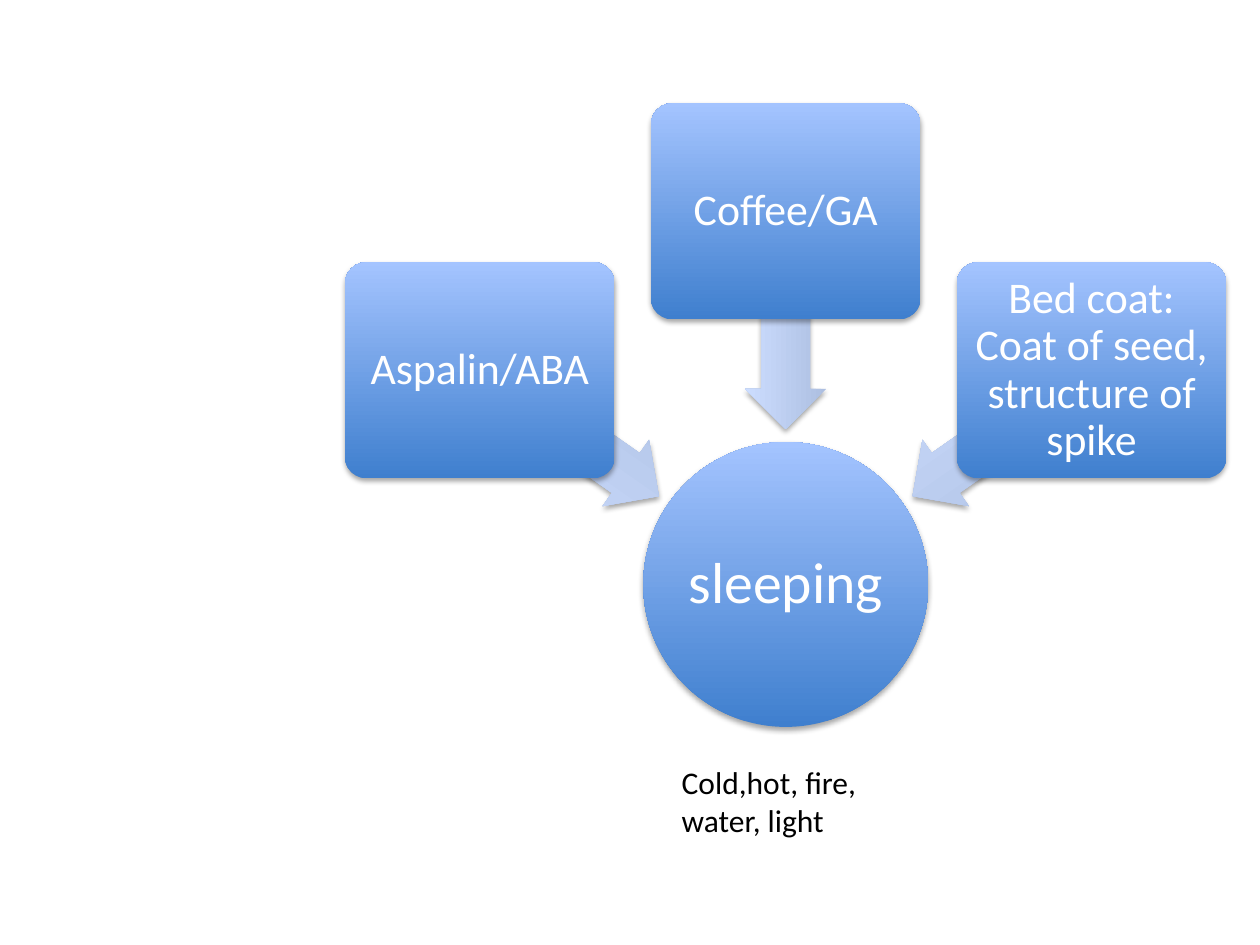
import pptx
import pptx.util
import pptx.dml.color
import pptx.enum.shapes
import pptx.enum.text
import pptx.oxml
from lxml import etree

Pt = pptx.util.Pt
SHAPES = pptx.enum.shapes.MSO_SHAPE
COLOURS = {
    "node_low": "3F7FCE", "node_high": "A4C4FF",
    "arrow_low": "ADBFE1", "arrow_high": "CCDDFF",
    "shadow": "000000", "node_text": "FFFFFF", "note_text": "000000",
}
SHADOW = (
    '<a:effectLst xmlns:a="http://schemas.openxmlformats.org/drawingml/2006/main">'
    '<a:outerShdw blurRad="{blur}" dist="{dist}" dir="5400000" rotWithShape="0">'
    '<a:srgbClr val="{colour}"><a:alpha val="35000"/></a:srgbClr>'
    '</a:outerShdw></a:effectLst>'
)


class Diagram:
    """Holds the style and the page being drawn; shapes are placed by centre."""

    font_name = "Calibri"

    def __init__(self, page):
        self.page = page

    def colour(self, name):
        return pptx.dml.color.RGBColor.from_string(COLOURS[name])

    def shaded_shape(self, kind, centre, size, style):
        (x, y), (width, height) = centre, size
        shape = self.page.shapes.add_shape(
            kind, Pt(x - width / 2), Pt(y - height / 2), Pt(width), Pt(height))
        shape.line.fill.background()
        shape.fill.gradient()
        shape.fill.gradient_angle = 90
        for stop, end in zip(shape.fill.gradient_stops, ("low", "high")):
            stop.color.rgb = self.colour(f"{style}_{end}")
        effect = SHADOW.format(blur=Pt(3.1), dist=Pt(1.8), colour=COLOURS["shadow"])
        shape._element.spPr.append(pptx.oxml.parse_xml(effect))
        return shape

    def set_text(self, frame, text, size, colour):
        frame.word_wrap = True
        para = frame.paragraphs[0]
        para.text = text
        para.font.name = self.font_name
        para.font.size = Pt(size)
        para.font.color.rgb = self.colour(colour)
        return para

    def node(self, kind, centre, size, text, text_size, inset):
        shape = self.shaded_shape(kind, centre, size, "node")
        frame = shape.text_frame
        frame.margin_left = frame.margin_right = Pt(inset)
        frame.margin_top = frame.margin_bottom = Pt(inset)
        frame.vertical_anchor = pptx.enum.text.MSO_ANCHOR.MIDDLE
        para = self.set_text(frame, text, text_size, "node_text")
        para.alignment = pptx.enum.text.PP_ALIGN.CENTER
        para.line_spacing = 0.9
        return shape

    def factor(self, centre, text):
        box = self.node(SHAPES.ROUNDED_RECTANGLE, centre, (154.2, 123.6), text, 25, 3.6)
        box.adjustments[0] = 0.1

    def arrow(self, centre, rotation):
        arrow = self.shaded_shape(SHAPES.LEFT_ARROW, centre, (124.6, 46.3), "arrow")
        arrow.adjustments[0] = 0.6
        arrow.adjustments[1] = 0.5
        arrow.rotation = rotation

    def note(self, left, top, width, height, text):
        box = self.page.shapes.add_textbox(Pt(left), Pt(top), Pt(width), Pt(height))
        self.set_text(box.text_frame, text, 18, "note_text")


def main():
    deck = pptx.Presentation()
    deck.slide_width, deck.slide_height = Pt(720), Pt(540)
    diagram = Diagram(deck.slides.add_slide(deck.slide_layouts[6]))

    middle = 449
    diagram.node(SHAPES.OVAL, (middle, 334), (162.8, 162.8), "sleeping", 33, 1.5)

    # Side of the middle, box height, arrow height, arrow rotation, text
    factors = [
        (-1, 211.6, 247.8, 215, "Aspalin/ABA"),
        (0, 120.8, 183, 270, "Coffee/GA"),
        (1, 211.6, 247.8, 325, "Bed coat: Coat of seed, structure of spike"),
    ]
    for side, box_y, arrow_y, rotation, text in factors:
        diagram.arrow((middle + side * 123.5, arrow_y), rotation)
        diagram.factor((middle + side * 174.8, box_y), text)

    diagram.note(382.5, 432.5, 160.5, 51, "Cold,hot, fire, water, light")
    deck.save("out.pptx")


if __name__ == "__main__":
    main()
